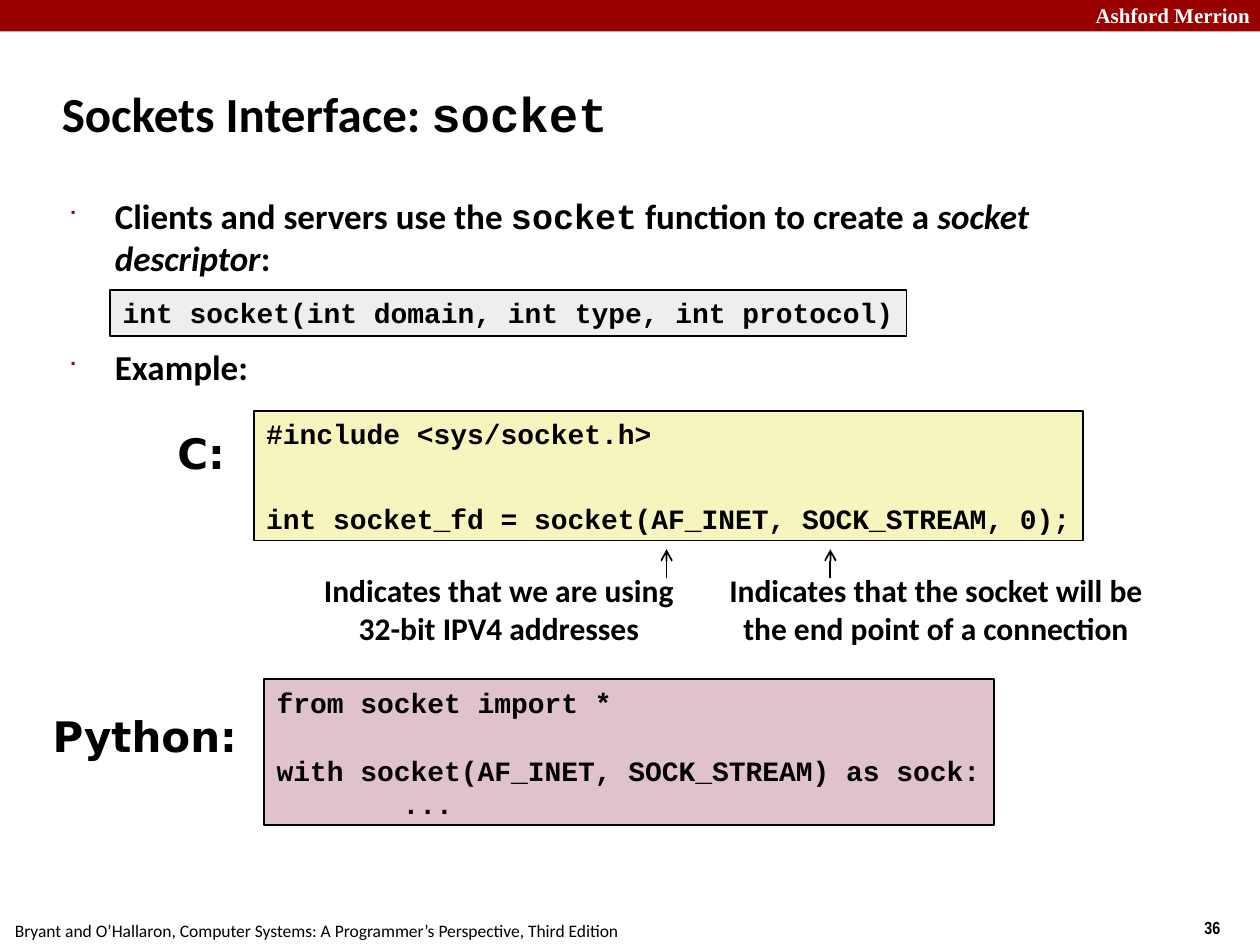
from lxml.etree import SubElement
from pptx import Presentation
from pptx.dml.color import RGBColor
from pptx.enum.shapes import MSO_CONNECTOR as Connector, MSO_SHAPE as Shape
from pptx.enum.text import MSO_ANCHOR as Anchor, MSO_AUTO_SIZE as AutoSize, PP_ALIGN as Align
from pptx.oxml.ns import qn
from pptx.util import Pt

THEME = {
    "red": "990000", "black": "000000", "white": "FFFFFF",
    "signature": "EEEEEE", "c": "F6F5BD", "python": "E0C2CD",
    "text": "Calibri", "code": "Courier New", "language": "DejaVu Sans",
    "bullet": "Wingdings",
    "title_size": 28, "body_size": 20, "code_size": 16,
    "note_size": 18, "language_size": 24, "footer_size": 10,
}

# Content: runs are (text, style); boxes are (left, top, width, height) in points
TITLE = [("Sockets Interface: ", ""), ("socket", "code")]
BULLETS = [  # runs, space before
    ([("Clients and servers use the ", ""), ("socket", "code"),
      (" function to create a ", ""), ("socket descriptor", "italic"), (":", "")], 4.8),
    ([("Example:", "")], 38.5),
]
CODE = [  # fill, box, lines with the space before each
    ("signature", (63, 165.6, 455, 26.6),
     [("int socket(int domain, int type, int protocol)", 0)]),
    ("c", (145, 234.7, 474, 74.2),
     [("#include <sys/socket.h>", 0),
      ("int socket_fd = socket(AF_INET, SOCK_STREAM, 0);", 29)]),
    ("python", (151, 388, 417, 83.5),
     [("from socket import *", 0),
      ("with socket(AF_INET, SOCK_STREAM) as sock:", 19.6),
      ("\t...", 0)]),
]
CODE_TAB = 72
LANGUAGES = [("C:", (94.3, 240.5, 43.2, 36)), ("Python:", (23, 402.5, 121.7, 36))]
NOTES = [  # text, box, x of the arrow
    ("Indicates that we are using 32-bit IPV4 addresses", (174.2, 323, 221.8, 50.4), 380.9),
    ("Indicates that the socket will be the end point of a connection",
     (404.6, 323, 260.6, 50.4), 474.5),
]
ARROW_BOTTOM, ARROW_TOP = 330.5, 313.9
SCHOOL = ("Ashford Merrion", (618.5, -2.2, 103, 21.6))
FOOTERS = [  # text, box, font, bold
    ("36", (681.1, 520.6, 54, 19.4), "Arial Narrow", True),
    ("Bryant and O’Hallaron, Computer Systems: A Programmer’s Perspective, Third Edition",
     (1.4, 522, 360.7, 19.4), THEME["text"], False),
]


def color(name):
    return RGBColor.from_string(THEME[name])


def points(values):
    return [Pt(value) for value in values]


def place(shape, box):
    shape.left, shape.top, shape.width, shape.height = points(box)


def style(font, name, size, bold=True, ink="black"):
    font.name, font.size, font.bold = name, Pt(size), bold
    font.color.rgb = color(ink)


def add_runs(para, runs, size):
    style(para.font, THEME["text"], size)
    for text, kind in runs:
        span = para.add_run()
        span.text = text
        if kind == "code":
            span.font.name = THEME["code"]
        elif kind == "italic":
            span.font.italic = True


def add_bullet(para):
    props = para._p.get_or_add_pPr()
    props.set("marL", str(Pt(27.4)))
    props.set("indent", str(Pt(-26.6)))
    SubElement(SubElement(props, qn("a:buClr")), qn("a:srgbClr"), val=THEME["red"])
    SubElement(props, qn("a:buSzPct"), val="60000")
    SubElement(props, qn("a:buFont"), typeface=THEME["bullet"])
    SubElement(props, qn("a:buChar"), char="■")


def add_label(page, text, box, font, size, bold=True, ink="black", align=Align.LEFT, wrap=True):
    frame = page.shapes.add_textbox(*points(box)).text_frame
    frame.word_wrap = wrap
    para = frame.paragraphs[0]
    para.text, para.alignment = text, align
    style(para.font, font, size, bold, ink)


def add_rectangle(page, box, fill):
    shape = page.shapes.add_shape(Shape.RECTANGLE, *points(box))
    shape.shadow.inherit = False
    shape.fill.solid()
    shape.fill.fore_color.rgb = color(fill)
    shape.line.fill.background()
    return shape


def add_code(page, fill, box, lines):
    shape = add_rectangle(page, box, fill)
    shape.line.color.rgb, shape.line.width = color("black"), Pt(1)
    frame = shape.text_frame
    frame.word_wrap, frame.auto_size = True, AutoSize.NONE
    frame.vertical_anchor = Anchor.TOP
    frame.margin_right = 0  # room for the longest line
    for index, (text, gap) in enumerate(lines):
        para = frame.add_paragraph() if index else frame.paragraphs[0]
        para.text, para.alignment, para.space_before = text, Align.LEFT, Pt(gap)
        if text.startswith("\t"):
            stops = SubElement(para._p.get_or_add_pPr(), qn("a:tabLst"))
            SubElement(stops, qn("a:tab"), pos=str(Pt(CODE_TAB)), algn="l")
        style(para.font, THEME["code"], THEME["code_size"])


def add_arrow(page, x):
    arrow = page.shapes.add_connector(
        Connector.STRAIGHT, *points((x, ARROW_BOTTOM, x, ARROW_TOP)))
    arrow.line.color.rgb, arrow.line.width = color("black"), Pt(1)
    SubElement(arrow.line._get_or_add_ln(), qn("a:tailEnd"), type="arrow")
    SubElement(arrow._element.spPr, qn("a:effectLst"))


def main():
    deck = Presentation()
    deck.slide_width, deck.slide_height = Pt(720), Pt(540)
    page = deck.slides.add_slide(deck.slide_layouts[1])

    # Header band and footers
    add_rectangle(page, (0, 0, 720, 18), "red")
    add_label(page, *SCHOOL, "Times New Roman", 12, ink="white", align=Align.RIGHT, wrap=False)
    for text, box, font, bold in FOOTERS:
        add_label(page, text, box, font, THEME["footer_size"], bold, wrap=False)

    # Title
    title = page.shapes.title
    place(title, (28.1, 34.6, 597.6, 59.8))
    title.text_frame.auto_size = AutoSize.NONE
    title.text_frame.vertical_anchor = Anchor.MIDDLE
    para = title.text_frame.paragraphs[0]
    para.alignment = Align.LEFT
    add_runs(para, TITLE, THEME["title_size"])

    # Bullets
    body = page.placeholders[1]
    place(body, (31, 107.3, 622, 120))
    frame = body.text_frame
    frame.auto_size = AutoSize.NONE
    for index, (runs, gap) in enumerate(BULLETS):
        para = frame.add_paragraph() if index else frame.paragraphs[0]
        para.space_before = Pt(gap)
        add_bullet(para)
        add_runs(para, runs, THEME["body_size"])

    # Code boxes and their language labels
    for fill, box, lines in CODE:
        add_code(page, fill, box, lines)
    for text, box in LANGUAGES:
        add_label(page, text, box, THEME["language"], THEME["language_size"])

    # Notes with arrows to the arguments
    for text, box, x in NOTES:
        add_label(page, text, box, THEME["text"], THEME["note_size"], align=Align.CENTER)
        add_arrow(page, x)

    deck.save("out.pptx")


if __name__ == "__main__":
    main()
